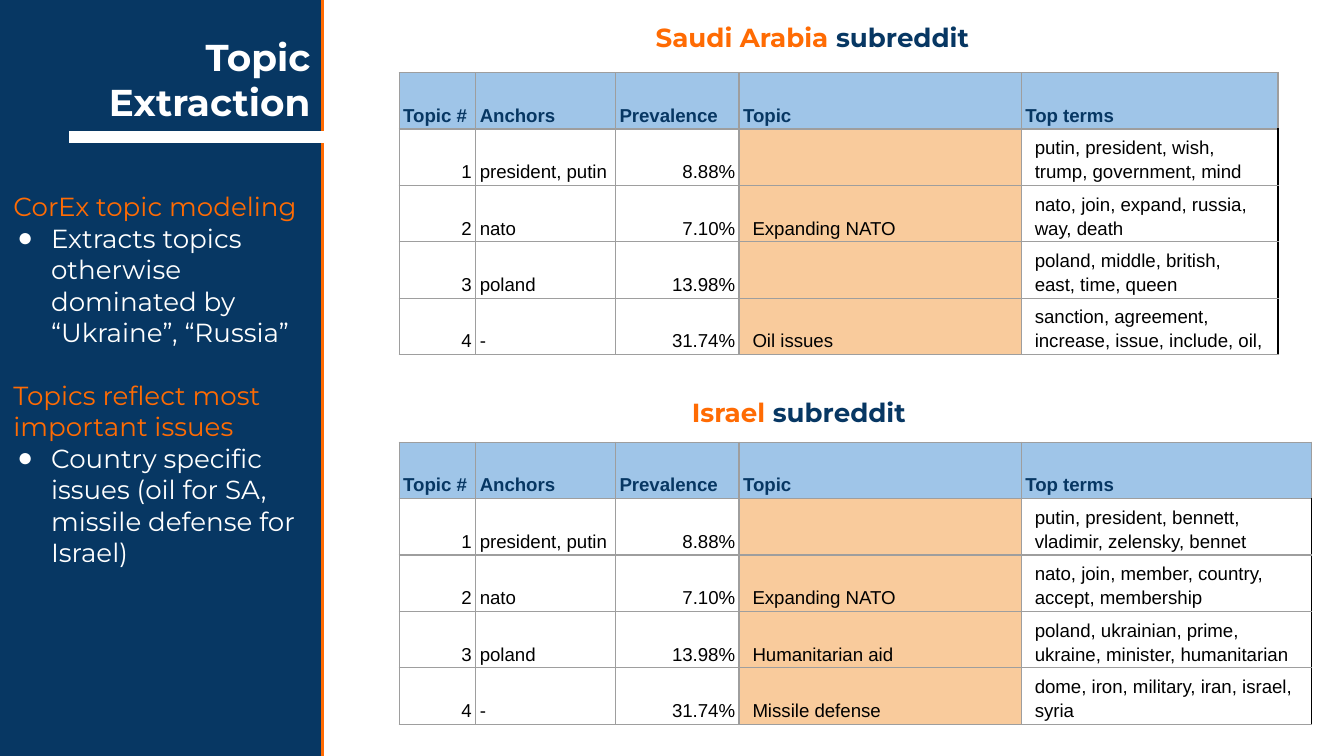
from dataclasses import dataclass

from lxml.etree import SubElement
from pptx import Presentation
from pptx.dml.color import RGBColor
from pptx.enum.shapes import MSO_CONNECTOR, MSO_SHAPE
from pptx.enum.text import MSO_ANCHOR, MSO_AUTO_SIZE, PP_ALIGN
from pptx.oxml.ns import qn
from pptx.util import Inches, Pt


@dataclass(frozen=True)
class Theme:
    navy: str = "073763"
    orange: str = "FF6B03"
    white: str = "FFFFFF"
    black: str = "000000"
    grid: str = "9E9E9E"
    header_fill: str = "9FC5E8"
    topic_fill: str = "F9CB9C"
    display_font: str = "Montserrat"
    table_font: str = "Arial"
    title_size: float = 20
    body_size: float = 14
    table_size: float = 10


THEME = Theme()
SLIDE_WIDTH = 10
SLIDE_HEIGHT = SLIDE_WIDTH * 9 / 16
HEADER = ["Topic #", "Anchors", "Prevalence", "Topic", "Top terms"]
ANCHORS = ["president, putin", "nato", "poland", "-"]
PREVALENCES = ["8.88%", "7.10%", "13.98%", "31.74%"]
SHARED_COLUMNS = [0.57, 1.04, 0.92, 2.1]
NUMBER_COLUMNS = (0, 2)
TOPIC_COLUMN = 3
TERMS_COLUMN = 4
ROW_HEIGHT = 0.42

SAUDI_TOPICS = ["", "Expanding NATO", "", "Oil issues"]
SAUDI_TERMS = [
    "putin, president, wish, trump, government, mind",
    "nato, join, expand, russia, way, death",
    "poland, middle, british, east, time, queen",
    "sanction, agreement, increase, issue, include, oil,",
]
ISRAEL_TOPICS = ["", "Expanding NATO", "Humanitarian aid", "Missile defense"]
ISRAEL_TERMS = [
    "putin, president, bennett, vladimir, zelensky, bennet",
    "nato, join, member, country, accept, membership",
    "poland, ukrainian, prime, ukraine, minister, humanitarian",
    "dome, iron, military, iran, israel, syria",
]
FINDINGS = [
    ("CorEx topic modeling", False),
    ("Extracts topics otherwise dominated by “Ukraine”, “Russia”", True),
    ("Topics reflect most important issues", False),
    ("Country specific issues (oil for SA, missile defense for Israel)", True),
]


def color(value):
    return RGBColor.from_string(value)


def style_font(font, name, size, value, bold=False):
    font.name = name
    font.size = Pt(size)
    font.bold = bold
    font.color.rgb = color(value)


def place(shape, left, top, width, height):
    shape.left, shape.top = Inches(left), Inches(top)
    shape.width, shape.height = Inches(width), Inches(height)


def prepare_frame(text_frame, anchor=MSO_ANCHOR.TOP):
    text_frame.word_wrap = True
    text_frame.auto_size = MSO_AUTO_SIZE.NONE
    text_frame.vertical_anchor = anchor
    text_frame.margin_left = text_frame.margin_right = Inches(0.1)
    text_frame.margin_top = text_frame.margin_bottom = Inches(0.1)


def add_panel(slide):
    panel = slide.shapes.add_shape(
        MSO_SHAPE.RECTANGLE, Inches(-0.03), Inches(-0.06), Inches(2.43), Inches(5.79)
    )
    panel.shadow.inherit = False
    panel.fill.solid()
    panel.fill.fore_color.rgb = color(THEME.navy)
    panel.line.color.rgb = color(THEME.orange)
    panel.line.width = Pt(1.5)
    panel.element.getparent().insert(2, panel.element)


def add_underline(slide):
    line = slide.shapes.add_connector(
        MSO_CONNECTOR.STRAIGHT, Inches(2.5), Inches(1.02), Inches(0.51), Inches(1.02)
    )
    line.line.color.rgb = color(THEME.white)
    line.line.width = Pt(6)
    SubElement(line.element.spPr, qn("a:effectLst"))


def fill_title(title):
    place(title, 0.21, 0.53, 2.2, 0.49)
    prepare_frame(title.text_frame, MSO_ANCHOR.BOTTOM)
    title.text_frame.text = "Topic Extraction"
    paragraph = title.text_frame.paragraphs[0]
    paragraph.alignment = PP_ALIGN.RIGHT
    style_font(paragraph.runs[0].font, THEME.display_font, THEME.title_size, THEME.white, True)


def set_bullet(paragraph, bulleted):
    properties = paragraph._p.get_or_add_pPr()
    properties.set("marL", str(Inches(0.28) if bulleted else 0))
    properties.set("indent", str(Inches(-0.25) if bulleted else 0))
    if bulleted:
        bullet_color = SubElement(properties, qn("a:buClr"))
        SubElement(bullet_color, qn("a:srgbClr"), val=THEME.white)
        SubElement(properties, qn("a:buChar"), char="●")
    else:
        SubElement(properties, qn("a:buNone"))


def fill_findings(body):
    place(body, 0, 1.32, 2.4, 3.03)
    prepare_frame(body.text_frame)
    body.text_frame.text = "\n".join(text for text, _ in FINDINGS)
    for index, (paragraph, (_, bulleted)) in enumerate(zip(body.text_frame.paragraphs, FINDINGS)):
        set_bullet(paragraph, bulleted)
        starts_group = index > 0 and not bulleted
        paragraph.space_before = Pt(17 if starts_group else 0)
        value = THEME.white if bulleted else THEME.orange
        style_font(paragraph.runs[0].font, THEME.display_font, THEME.body_size, value)


def add_heading(slide, country, left, top, width):
    box = slide.shapes.add_textbox(Inches(left), Inches(top), Inches(width), Inches(0.44))
    prepare_frame(box.text_frame)
    paragraph = box.text_frame.paragraphs[0]
    for text, value in ((country, THEME.orange), (" subreddit", THEME.navy)):
        run = paragraph.add_run()
        run.text = text
        style_font(run.font, THEME.display_font, THEME.body_size, value, True)


def set_borders(cell, right_color):
    properties = cell._tc.get_or_add_tcPr()
    for side in "LRTB":
        border = SubElement(properties, qn(f"a:ln{side}"), w=str(Pt(0.75)))
        fill = SubElement(border, qn("a:solidFill"))
        SubElement(fill, qn("a:srgbClr"), val=right_color if side == "R" else THEME.grid)


def fill_cell(cell, text, row, column):
    is_header = row == 0
    side_margin = Inches(0.1 if column >= TOPIC_COLUMN and not is_header else 0.03)
    cell.margin_left = cell.margin_right = side_margin
    cell.margin_top = cell.margin_bottom = Inches(0.02)
    cell.vertical_anchor = MSO_ANCHOR.BOTTOM
    set_borders(cell, THEME.black if column == TERMS_COLUMN and not is_header else THEME.grid)
    if is_header or column == TOPIC_COLUMN:
        cell.fill.solid()
        cell.fill.fore_color.rgb = color(THEME.header_fill if is_header else THEME.topic_fill)
    else:
        cell.fill.background()
    cell.text_frame.text = text
    paragraph = cell.text_frame.paragraphs[0]
    paragraph.line_spacing = 1.15
    if column in NUMBER_COLUMNS and not is_header:
        paragraph.alignment = PP_ALIGN.RIGHT
    value = THEME.navy if is_header else THEME.black
    for run in paragraph.runs:
        style_font(run.font, THEME.table_font, THEME.table_size, value, is_header)


def add_topic_table(slide, top, terms_width, topics, terms):
    numbers = [str(number) for number in range(1, len(topics) + 1)]
    rows = [HEADER, *zip(numbers, ANCHORS, PREVALENCES, topics, terms)]
    widths = [*SHARED_COLUMNS, terms_width]
    table = slide.shapes.add_table(
        len(rows), len(widths), Inches(2.97), Inches(top),
        Inches(sum(widths)), Inches(ROW_HEIGHT * len(rows)),
    ).table
    table.first_row = table.horz_banding = False
    for column, width in zip(table.columns, widths):
        column.width = Inches(width)
    for row_index, values in enumerate(rows):
        table.rows[row_index].height = Inches(ROW_HEIGHT)
        for column_index, text in enumerate(values):
            fill_cell(table.cell(row_index, column_index), text, row_index, column_index)


def main():
    presentation = Presentation()
    presentation.slide_width = Inches(SLIDE_WIDTH)
    presentation.slide_height = Inches(SLIDE_HEIGHT)
    slide = presentation.slides.add_slide(presentation.slide_layouts[1])
    add_panel(slide)
    fill_title(slide.shapes.title)
    fill_findings(slide.placeholders[1])
    add_underline(slide)
    add_topic_table(slide, 0.54, 1.91, SAUDI_TOPICS, SAUDI_TERMS)
    add_heading(slide, "Saudi Arabia", 4.78, 0.06, 2.69)
    add_topic_table(slide, 3.29, 2.16, ISRAEL_TOPICS, ISRAEL_TERMS)
    add_heading(slide, "Israel", 5.05, 2.85, 2.14)
    presentation.save("out.pptx")


if __name__ == "__main__":
    main()
